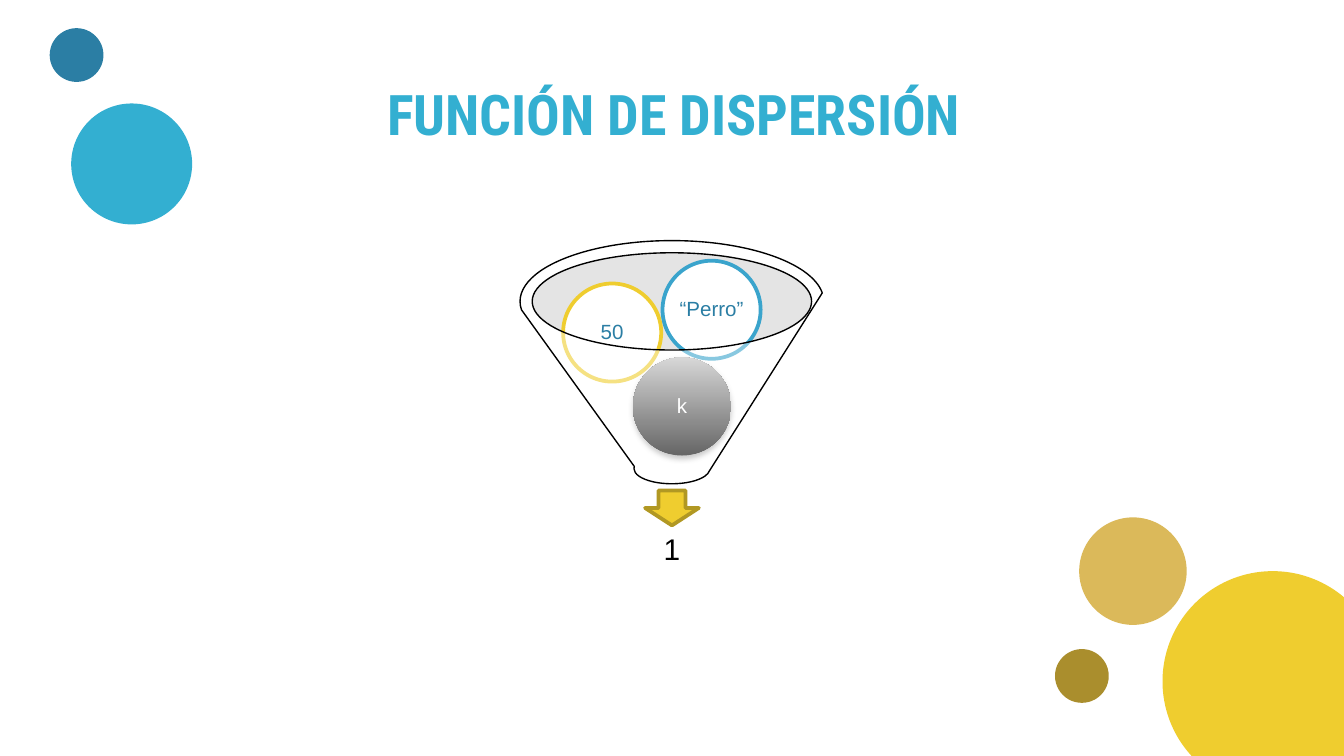
from lxml import etree
from pptx import Presentation
from pptx import util as u
from pptx.dml.color import RGBColor
from pptx.enum import shapes, text
from pptx.oxml.ns import qn

THEME = {
    "white": "FFFFFF", "black": "000000", "gray": "BDBDBD",
    "yellow": "EFCD2F", "sand": "DBB95A", "olive": "AA8E2D", "mustard": "B19823",
    "cyan": "33AFD1", "blue": "2B7EA4", "sky": "3AA4CC",
    "title_font": "Roboto Condensed", "body_font": "Arial",
    "title_size": 30, "result_size": 16, "ball_size": 11,
}
SLIDE_WIDTH = u.Inches(10)
SLIDE_HEIGHT = SLIDE_WIDTH * 9 // 16
TITLE = ("FUNCIÓN DE DISPERSIÓN", (0.78, 0.49, 8.47, 0.63))
DOTS = [
    (8.65, 4.25, 1.64, "yellow"),
    (8.03, 3.85, 0.8, "sand"),
    (7.85, 4.83, 0.4, "olive"),
    (0.53, 0.77, 0.9, "cyan"),
    (0.37, 0.21, 0.4, "blue"),
]
BALL_DIAMETER, LABEL_INSET = 0.73, 0.1
BALLS = [
    ("k", 4.71, 2.66, None, "white"),
    ("50", 4.19, 2.11, "yellow", "blue"),
    ("“Perro”", 4.93, 1.94, "sky", "blue"),
]
RESULT = ("1", (4.03, 3.86, 1.94, 0.48))
MOUTH = (3.96, 1.88, 2.08, 0.72)
ARROW = (4.8, 3.65, 0.4, 0.26)
FUNNEL = (3.87, 1.79, 2.26, 1.81)


def color(name):
    return RGBColor.from_string(THEME[name])


def apply(target, values):
    for name, value in values.items():
        setattr(target, name, value)


def add_shape(slide, kind, box, fill, line=None, width=2, alpha=None):
    shape = slide.shapes.add_shape(kind, *map(u.Inches, box))
    shape.shadow.inherit = False
    shape.fill.solid()
    shape.fill.fore_color.rgb = color(fill)
    if alpha:
        tint = shape.fill._xPr.find(qn("a:solidFill"))[0]
        etree.SubElement(tint, qn("a:alpha"), val=str(alpha * 1000))
    if line:
        shape.line.color.rgb = color(line)
        shape.line.width = u.Pt(width)
    else:
        shape.line.fill.background()
    return shape


def shade_ball(shape):
    shape.fill.gradient()
    shape.fill.gradient_angle = 90
    for stop, name, position in zip(shape.fill.gradient_stops, ("black", "gray"), (0, 1)):
        stop.color.rgb = color(name)
        stop.position = position
    effects = shape._element.spPr.find(qn("a:effectLst"))
    shadow = etree.SubElement(effects, qn("a:outerShdw"), blurRad=str(u.Pt(3.1)),
                              dist=str(u.Pt(1.8)), dir="5400000", rotWithShape="0")
    tint = etree.SubElement(shadow, qn("a:srgbClr"), val=THEME["black"])
    etree.SubElement(tint, qn("a:alpha"), val="35000")


def write(shape, words, inset, anchor, font, size, ink, bold=False):
    frame = shape.text_frame
    margins = dict.fromkeys(
        ("margin_left", "margin_top", "margin_right", "margin_bottom"), u.Inches(inset))
    apply(frame, {**margins, "word_wrap": True, "vertical_anchor": anchor,
                  "auto_size": text.MSO_AUTO_SIZE.NONE})
    paragraph = frame.paragraphs[0]
    paragraph.alignment = text.PP_ALIGN.CENTER
    run = paragraph.add_run()
    run.text = words
    apply(run.font, {"name": THEME[font], "size": u.Pt(THEME[size]), "bold": bold})
    run.font.color.rgb = color(ink)


def add_label(slide, words, box, inset, size, ink):
    label = slide.shapes.add_textbox(*map(u.Inches, box))
    write(label, words, inset, text.MSO_ANCHOR.MIDDLE, "body_font", size, ink)
    label.text_frame.paragraphs[0].line_spacing = 0.9


def add_ball(slide, words, left, top, line, ink):
    box = (left, top, BALL_DIAMETER, BALL_DIAMETER)
    ball = add_shape(slide, shapes.MSO_SHAPE.OVAL, box, "white", line)
    if line is None:
        shade_ball(ball)
    side = BALL_DIAMETER - 2 * LABEL_INSET
    label_box = (left + LABEL_INSET, top + LABEL_INSET, side, side)
    add_label(slide, words, label_box, 0.02, "ball_size", ink)


def main():
    presentation = Presentation()
    apply(presentation, {"slide_width": SLIDE_WIDTH, "slide_height": SLIDE_HEIGHT})
    slide = presentation.slides.add_slide(presentation.slide_layouts[5])

    for left, top, diameter, fill in DOTS:
        add_shape(slide, shapes.MSO_SHAPE.OVAL, (left, top, diameter, diameter), fill)

    words, box = TITLE
    title = slide.shapes.title
    apply(title, dict(zip(("left", "top", "width", "height"), map(u.Inches, box))))
    write(title, words, 0.1, text.MSO_ANCHOR.TOP, "title_font", "title_size", "cyan", True)

    add_shape(slide, shapes.MSO_SHAPE.OVAL, MOUTH, "gray", alpha=40)
    add_shape(slide, shapes.MSO_SHAPE.DOWN_ARROW, ARROW, "yellow", "mustard")
    add_label(slide, *RESULT, 0.12, "result_size", "black")
    for ball in BALLS:
        add_ball(slide, *ball)
    add_shape(slide, shapes.MSO_SHAPE.FUNNEL, FUNNEL, "white", "black", 0.75, 40)

    presentation.save("out.pptx")


if __name__ == "__main__":
    main()
